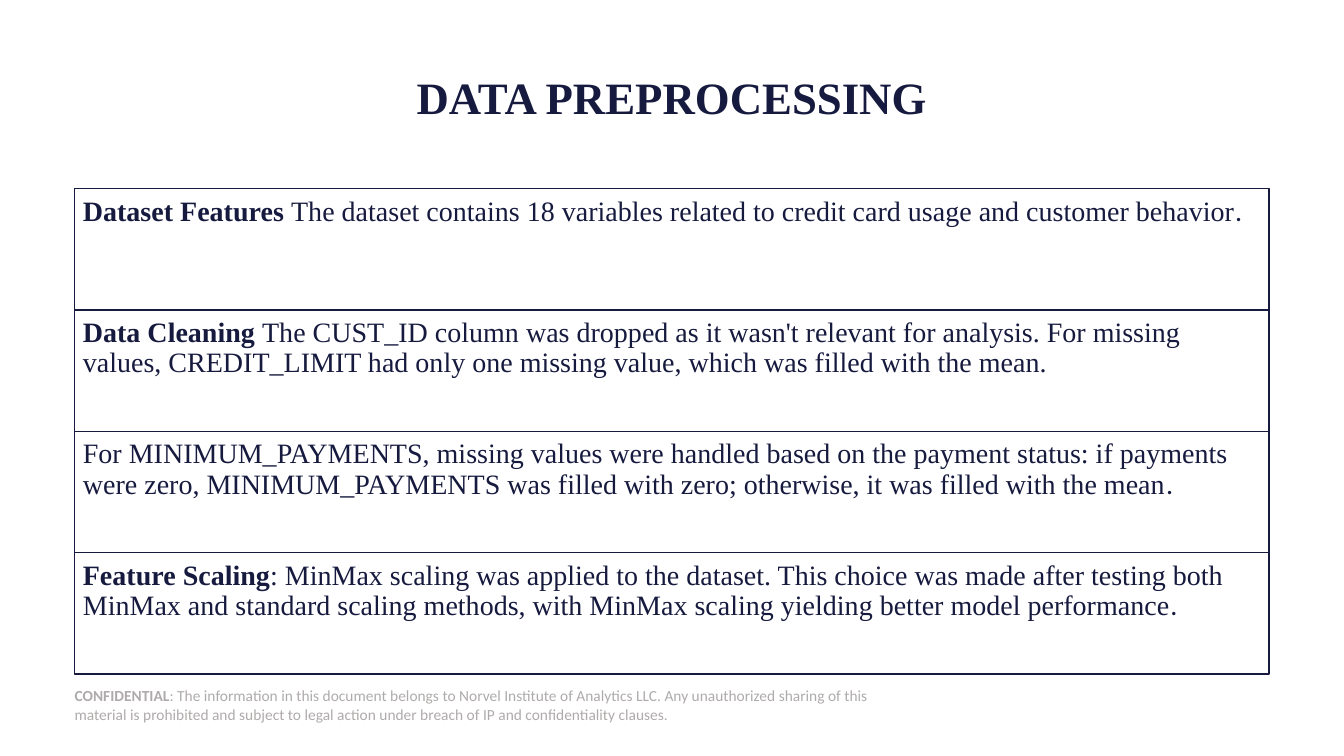
from dataclasses import dataclass

import pptx
import pptx.dml.color
import pptx.enum.shapes
import pptx.enum.text
import pptx.oxml
import pptx.util
from pptx.util import Cm


@dataclass(frozen=True)
class Theme:
    navy: str = "161A3E"
    rule: str = "4472C4"
    grey: str = "AFABAB"
    white: str = "FFFFFF"
    serif: str = "Times New Roman"
    sans: str = "Calibri"
    title_size: int = 32
    body_size: int = 20
    footer_size: int = 11
    line_width: int = 1


THEME = Theme()
LEFT, WIDTH = Cm(1.88), Cm(30.1)
ROWS_TOP, ROW_HEIGHT = Cm(4.75), Cm(3.06)

# Each row: bold lead, plain text, closing mark in the sans face.
ROWS = [
    ("Dataset Features ",
     "The dataset contains 18 variables related to credit card usage and customer behavior",
     "."),
    ("Data Cleaning ",
     "The CUST_ID column was dropped as it wasn't relevant for analysis. For missing values, "
     "CREDIT_LIMIT had only one missing value, which was filled with the mean.",
     ""),
    ("",
     "For MINIMUM_PAYMENTS, missing values were handled based on the payment status: if payments "
     "were zero, MINIMUM_PAYMENTS was filled with zero; otherwise, it was filled with the mean",
     "."),
    ("Feature Scaling",
     ": MinMax scaling was applied to the dataset. This choice was made after testing both MinMax "
     "and standard scaling methods, with MinMax scaling yielding better model performance",
     "."),
]
CONFIDENTIALITY = (
    ": The information in this document belongs to Norvel Institute of Analytics LLC. "
    "Any unauthorized sharing of this material is prohibited and subject to legal action "
    "under breach of IP and confidentiality clauses."
)


def rgb(color):
    return pptx.dml.color.RGBColor.from_string(color)


def set_up_frame(shape, anchor, margin=0):
    frame = shape.text_frame
    frame.word_wrap = True
    frame.vertical_anchor = anchor
    frame.margin_left = frame.margin_right = margin
    frame.margin_top = frame.margin_bottom = margin
    return frame.paragraphs[0]


def add_run(paragraph, text, size, color, font_name, bold=False):
    run = paragraph.add_run()
    run.text = text
    run.font.size = pptx.util.Pt(size)
    run.font.color.rgb = rgb(color)
    run.font.name = font_name
    run.font.bold = bold


def add_box(slide, top, width, height):
    """Add a white rectangle without outline at the left margin."""
    box = slide.shapes.add_shape(
        pptx.enum.shapes.MSO_SHAPE.RECTANGLE, LEFT, top, width, height)
    box.shadow.inherit = False
    box.fill.solid()
    box.fill.fore_color.rgb = rgb(THEME.white)
    box.line.fill.background()
    return box


def add_title(slide, text):
    title = slide.shapes.add_textbox(LEFT, Cm(1.68), WIDTH, Cm(1.7))
    paragraph = set_up_frame(title, pptx.enum.text.MSO_ANCHOR.MIDDLE)
    paragraph.alignment = pptx.enum.text.PP_ALIGN.CENTER
    paragraph.line_spacing = 0.9
    add_run(paragraph, text, THEME.title_size, THEME.navy, THEME.serif, bold=True)


def add_rule(slide, top):
    rule = slide.shapes.add_connector(
        pptx.enum.shapes.MSO_CONNECTOR.STRAIGHT, LEFT, top, LEFT + WIDTH, top)
    rule.line.color.rgb = rgb(THEME.rule)
    rule.line.width = pptx.util.Pt(THEME.line_width)
    rule.element.spPr.append(pptx.oxml.parse_xml(
        '<a:effectLst xmlns:a="http://schemas.openxmlformats.org/drawingml/2006/main"/>'))


def add_row(slide, top, lead, body, closing):
    add_rule(slide, top)
    box = add_box(slide, top, WIDTH, ROW_HEIGHT)
    box.line.color.rgb = rgb(THEME.navy)
    box.line.width = pptx.util.Pt(THEME.line_width)
    paragraph = set_up_frame(box, pptx.enum.text.MSO_ANCHOR.TOP, Cm(0.21))
    paragraph.alignment = pptx.enum.text.PP_ALIGN.LEFT
    paragraph.line_spacing = 0.9
    for text, font_name, bold in (
            (lead, THEME.serif, True), (body, THEME.serif, False), (closing, THEME.sans, False)):
        if text:
            add_run(paragraph, text, THEME.body_size, THEME.navy, font_name, bold)


def add_footer(slide):
    footer = add_box(slide, Cm(17.25), Cm(20.75), Cm(1.02))
    paragraph = set_up_frame(footer, pptx.enum.text.MSO_ANCHOR.MIDDLE)
    paragraph.alignment = pptx.enum.text.PP_ALIGN.LEFT
    for text, bold in (("CONFIDENTIAL", True), (CONFIDENTIALITY, False)):
        add_run(paragraph, text, THEME.footer_size, THEME.grey, THEME.sans, bold)


def main():
    presentation = pptx.Presentation()
    presentation.slide_width, presentation.slide_height = Cm(33.87), Cm(19.05)
    slide = presentation.slides.add_slide(presentation.slide_layouts[6])
    add_footer(slide)
    add_title(slide, "DATA PREPROCESSING")
    for index, row in enumerate(ROWS):
        add_row(slide, ROWS_TOP + index * ROW_HEIGHT, *row)
    presentation.save("out.pptx")


if __name__ == "__main__":
    main()
